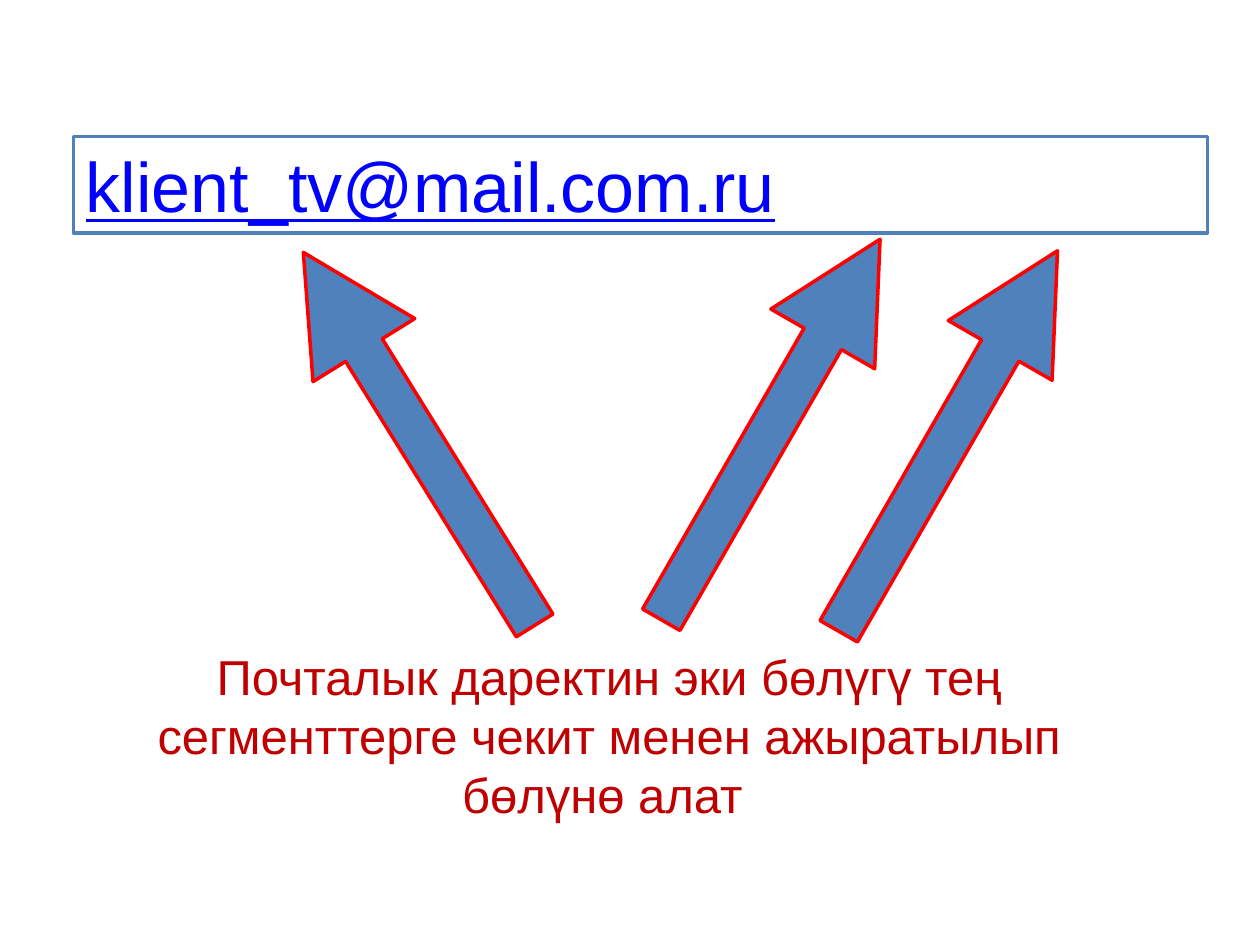
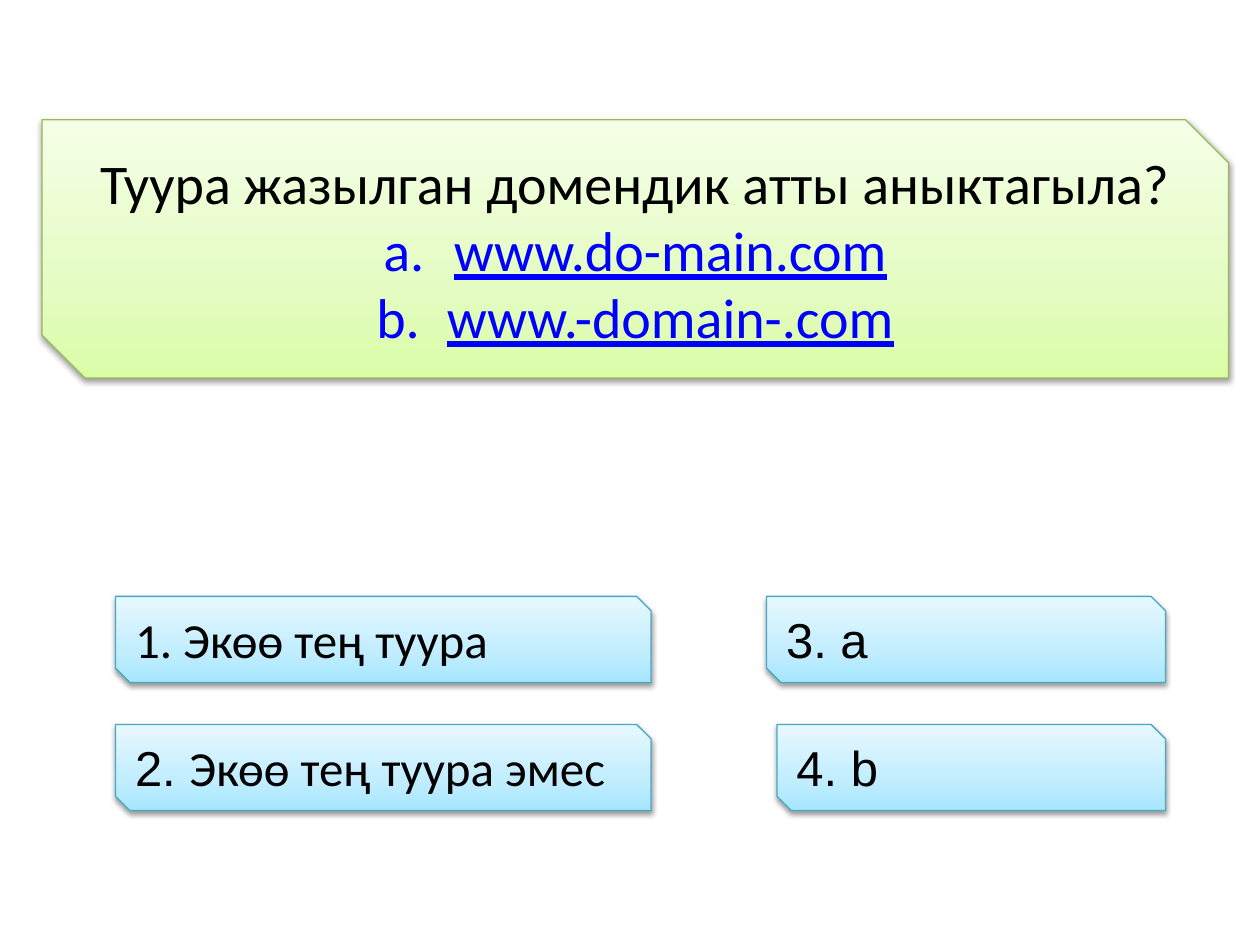
"""Build two slides on e-mail addresses and domain names."""
from copy import deepcopy
from dataclasses import dataclass

from lxml.etree import SubElement
from pptx import Presentation
from pptx.dml.color import RGBColor
from pptx.enum.shapes import MSO_SHAPE as Preset
from pptx.enum.text import MSO_ANCHOR as Anchor, MSO_AUTO_SIZE as AutoSize, PP_ALIGN as Align
from pptx.oxml.ns import qn
from pptx.util import Inches, Pt

WIDTH, HEIGHT = Inches(10), Inches(7.5)
COLUMNS, ROWS = 120, 90
BLUE, WHITE, BLACK = "4F81BD", "FFFFFF", "000000"
LINK_STYLE = {"underline": True}
LINK_COLOUR = "0000FF"


@dataclass(frozen=True)
class Area:
    """A rectangle in grid columns and rows."""
    column: float
    row: float
    columns: float
    rows: float

    def emu(self) -> tuple[int, int, int, int]:
        """Return left, top, width and height in slide units."""
        across, down = WIDTH / COLUMNS, HEIGHT / ROWS
        return (round(self.column * across), round(self.row * down),
                round(self.columns * across), round(self.rows * down))


@dataclass(frozen=True)
class Phrase:
    """Words set in one font, size and colour."""
    words: str
    size: int
    font: str = "Arial"
    colour: str = BLACK
    link: bool = False


@dataclass(frozen=True)
class Line:
    """A paragraph of phrases, with an optional lettered bullet."""
    phrases: tuple[Phrase, ...]
    align: Align = Align.LEFT
    lettered: bool = False


@dataclass(frozen=True)
class Pointer:
    """A thick arrow aimed at one segment of the address."""
    column: float
    row: float
    angle: float


@dataclass(frozen=True)
class Palette:
    """Gradient stops from the bottom up, and the outline colour."""
    stops: tuple[tuple[float, str], ...]
    outline: str


@dataclass(frozen=True)
class Answer:
    """A choice in the quiz."""
    area: Area
    phrases: tuple[Phrase, ...]


GREEN = Palette(((0, "DAFDA7"), (0.35, "E4FCC2"), (1, "F5FFE7")), "98B955")
AQUA = Palette(((0, "A7E6FF"), (0.35, "C1EDFF"), (1, "E7F8FF")), "46AAC5")

ADDRESS = Line((Phrase("klient_tv@mail.com.ru", 40, colour=LINK_COLOUR, link=True),))
EXPLANATION = Line((Phrase("Почталык даректин эки бөлүгү тең сегменттерге чекит менен "
                           "ажыратылып бөлүнө алат ", 28, colour="C00000"),), Align.CENTER)
POINTERS = (Pointer(34.2, 20.9, 148.2), Pointer(67.7, 20, 209.9), Pointer(84.6, 21.1, 209.9))

QUESTION = Line((Phrase("Туура жазылган домендик атты аныктагыла?", 32, "Calibri"),), Align.CENTER)
DOMAINS = tuple(
    Line((Phrase(domain, 32, "Calibri", LINK_COLOUR, True),), Align.CENTER, True)
    for domain in ("www.do-main.com", "www.-domain-.com"))

UPPER_ROW, LOWER_ROW, ANSWER_ROWS = 56.8, 69, 8.2
ANSWERS = (
    Answer(Area(11, UPPER_ROW, 51, ANSWER_ROWS), (Phrase("1. Экөө тең туура", 28, "Calibri"),)),
    Answer(Area(11, LOWER_ROW, 51, ANSWER_ROWS),
           (Phrase("2. ", 28), Phrase("Экөө тең туура эмес", 28, "Calibri"))),
    Answer(Area(73, UPPER_ROW, 38, ANSWER_ROWS), (Phrase("3. а", 28),)),
    Answer(Area(74, LOWER_ROW, 37, ANSWER_ROWS), (Phrase("4. b", 28),)),
)


def colour(code: str) -> RGBColor:
    """Turn a hex string into a colour."""
    return RGBColor.from_string(code)


def apply(target, values: dict) -> None:
    """Set each named attribute on the target."""
    for attribute, value in values.items():
        setattr(target, attribute, value)


def add_letter(paragraph) -> None:
    """Give a paragraph a hanging a., b. bullet."""
    properties = paragraph._p.get_or_add_pPr()
    hang = Inches(0.56)
    properties.set("marL", str(hang))
    properties.set("indent", str(-hang))
    SubElement(properties, qn("a:buFont"), typeface="+mj-lt")
    SubElement(properties, qn("a:buAutoNum"), type="alphaLcPeriod")


def write(shape, lines: tuple[Line, ...], anchor: Anchor = Anchor.TOP) -> None:
    """Fill a shape with lines of text."""
    frame = shape.text_frame
    apply(frame, {"word_wrap": True, "auto_size": AutoSize.SHAPE_TO_FIT_TEXT,
                  "vertical_anchor": anchor})
    for index, line in enumerate(lines):
        paragraph = frame.add_paragraph() if index else frame.paragraphs[0]
        paragraph.alignment = line.align
        if line.lettered:
            add_letter(paragraph)
        for phrase in line.phrases:
            run = paragraph.add_run()
            run.text = phrase.words
            apply(run.font, {"name": phrase.font, "size": Pt(phrase.size)})
            run.font.color.rgb = colour(phrase.colour)
            if phrase.link:
                apply(run.font, LINK_STYLE)


def add_outlined(slide, preset: Preset, area: Area, outline: str, weight: float):
    """Add a preset shape with a plain outline and no shadow."""
    shape = slide.shapes.add_shape(preset, *area.emu())
    shape.shadow.inherit = False
    shape.line.color.rgb = colour(outline)
    shape.line.width = Pt(weight)
    return shape


def add_solid(slide, preset: Preset, area: Area, fill: str, outline: str):
    """Add a shape with one flat fill."""
    shape = add_outlined(slide, preset, area, outline, 2)
    shape.fill.solid()
    shape.fill.fore_color.rgb = colour(fill)
    return shape


def add_card(slide, area: Area, palette: Palette):
    """Add a snipped card with a vertical gradient and a soft shadow."""
    card = add_outlined(slide, Preset.SNIP_2_DIAG_RECTANGLE, area, palette.outline, 0.75)
    card.fill.gradient()
    card.fill.gradient_angle = 90
    properties = card._element.spPr
    stop_list = properties.find(f".//{qn('a:gsLst')}")
    stop_list.append(deepcopy(stop_list[-1]))
    for stop, (position, code) in zip(card.fill.gradient_stops, palette.stops):
        stop.position = position
        stop.color.rgb = colour(code)
    shadow = SubElement(properties.find(qn("a:effectLst")), qn("a:outerShdw"),
                        blurRad=str(Pt(3.1)), dist=str(Pt(1.6)), dir="5400000", rotWithShape="0")
    tone = SubElement(shadow, qn("a:srgbClr"), val=BLACK)
    SubElement(tone, qn("a:alpha"), val="38000")
    return card


def add_pointer(slide, pointer: Pointer) -> None:
    """Draw one turned arrow."""
    area = Area(pointer.column, pointer.row, 11.4, 41.8)
    arrow = add_solid(slide, Preset.DOWN_ARROW, area, BLUE, "FF0000")
    arrow.rotation = pointer.angle
    arrow.adjustments[0], arrow.adjustments[1] = 0.36, 0.96


def build_address(slide) -> None:
    """Show how the parts of an address are split by dots."""
    address = add_solid(slide, Preset.RECTANGLE, Area(7, 13, 108, 9.2), WHITE, BLUE)
    write(address, (ADDRESS,), Anchor.MIDDLE)
    explanation = slide.shapes.add_textbox(*Area(12, 61, 92, 18.1).emu())
    write(explanation, (EXPLANATION,))
    for pointer in POINTERS:
        add_pointer(slide, pointer)


def build_quiz(slide) -> None:
    """Ask which domain name is written correctly."""
    question = add_card(slide, Area(4, 11.4, 113, 24.6), GREEN)
    write(question, (QUESTION, *DOMAINS), Anchor.MIDDLE)
    for answer in ANSWERS:
        write(add_card(slide, answer.area, AQUA), (Line(answer.phrases),))


def main() -> None:
    """Build and save the deck."""
    deck = Presentation()
    apply(deck, {"slide_width": WIDTH, "slide_height": HEIGHT})
    for build in (build_address, build_quiz):
        build(deck.slides.add_slide(deck.slide_layouts[6]))
    deck.save("out.pptx")


if __name__ == "__main__":
    main()
